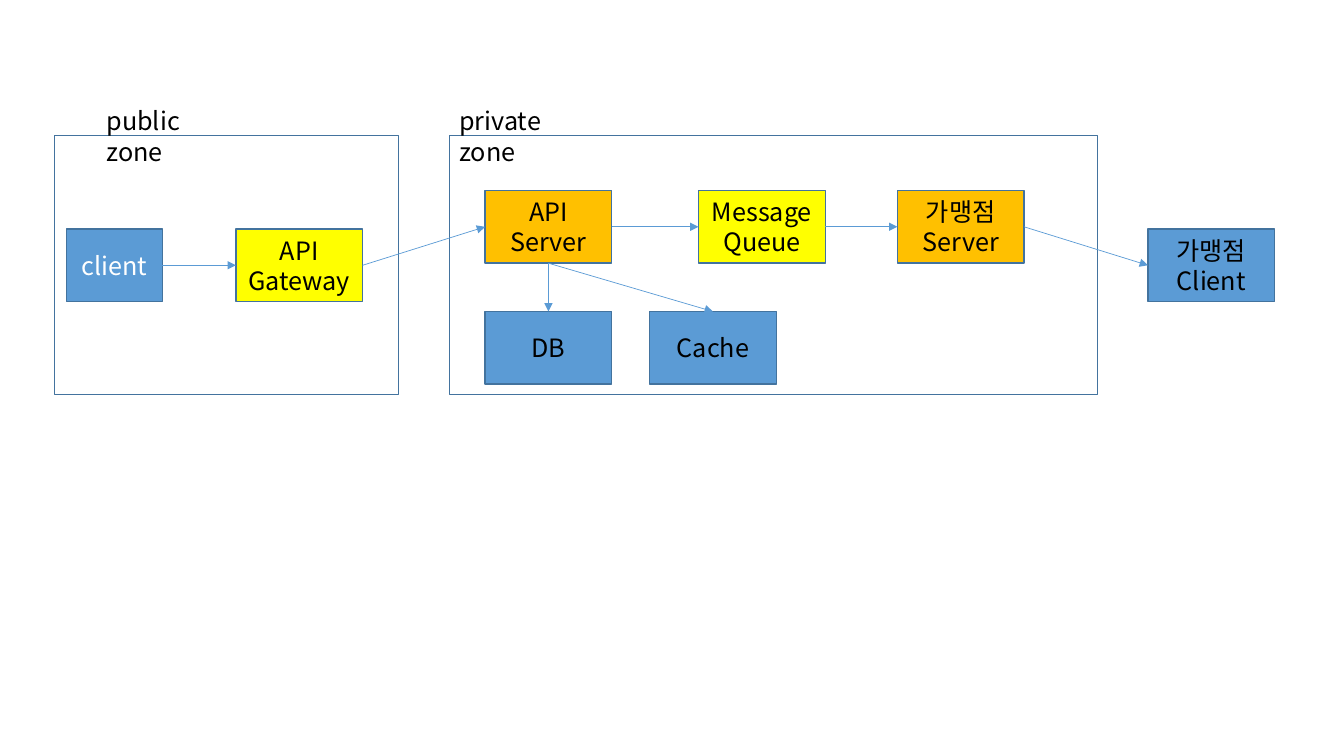
from lxml.etree import SubElement
from pptx import Presentation
from pptx.dml.color import RGBColor
from pptx.enum.shapes import MSO_CONNECTOR as Connector, MSO_SHAPE as Preset
from pptx.enum.text import MSO_ANCHOR as Anchor, PP_ALIGN as Align
from pptx.oxml.ns import qn
from pptx.util import Pt

BLUE, YELLOW, ORANGE = "5B9BD5", "FFFF00", "FFC000"
BLACK, WHITE, BORDER = "000000", "FFFFFF", "43739E"
TOP, LEFT, BOTTOM, RIGHT = range(4)


def color(hex_code):
    return RGBColor.from_string(hex_code)


def write(frame, text, font="Noto Sans CJK KR", size=18, ink=BLACK,
          align=Align.LEFT, anchor=Anchor.TOP):
    frame.word_wrap = True
    frame.vertical_anchor = anchor
    for number, line in enumerate(text.split("\n")):
        paragraph = frame.add_paragraph() if number else frame.paragraphs[0]
        paragraph.alignment = align
        run = paragraph.add_run()
        run.text = line
        run.font.name = font
        run.font.size = Pt(size)
        run.font.color.rgb = color(ink)
        SubElement(run.font._element, qn("a:ea"), typeface=font)


class Diagram:
    def __init__(self, slide, node_width=90.5, node_height=52):
        self.shapes = slide.shapes
        self.node_width = node_width
        self.node_height = node_height

    def rectangle(self, x, y, width, height, fill=None):
        shape = self.shapes.add_shape(
            Preset.RECTANGLE, Pt(x), Pt(y), Pt(width), Pt(height))
        shape.shadow.inherit = False
        if fill:
            shape.fill.solid()
            shape.fill.fore_color.rgb = color(fill)
        else:
            shape.fill.background()
        shape.line.color.rgb = color(BORDER)
        shape.line.width = Pt(1)
        return shape

    def label(self, text, x, y, width, height=29):
        box = self.shapes.add_textbox(Pt(x), Pt(y), Pt(width), Pt(height))
        write(box.text_frame, text)

    def node(self, text, x, y, fill, width=None, ink=BLACK):
        shape = self.rectangle(
            x, y, width or self.node_width, self.node_height, fill)
        write(shape.text_frame, text, ink=ink,
              align=Align.CENTER, anchor=Anchor.MIDDLE)
        return shape

    def arrow(self, source, target, leave=RIGHT, enter=LEFT):
        link = self.shapes.add_connector(Connector.STRAIGHT, 0, 0, 0, 0)
        link.begin_connect(source, leave)
        link.end_connect(target, enter)
        link.line.color.rgb = color(BLUE)
        link.line.width = Pt(0.5)
        SubElement(link.line._get_or_add_ln(), qn("a:tailEnd"), type="triangle")
        SubElement(link._element.spPr, qn("a:effectLst"))


deck = Presentation()
deck.slide_width, deck.slide_height = Pt(960), Pt(540)
diagram = Diagram(deck.slides.add_slide(deck.slide_layouts[6]))

ZONE_TOP, ZONE_HEIGHT, LABEL_TOP = 97, 185, 72
UPPER, MIDDLE, LOWER = 136, 163.5, 222.5
API_X = 346.5

for zone_x, zone_width in ((39, 245.5), (321, 463)):
    diagram.rectangle(zone_x, ZONE_TOP, zone_width, ZONE_HEIGHT)
diagram.label("public zone", 69, LABEL_TOP, 110)
diagram.label("private zone", 321, LABEL_TOP, 115.5)

client = diagram.node("client", 47.5, MIDDLE, BLUE, width=68.5, ink=WHITE)
gateway = diagram.node("API\nGateway", 168.5, MIDDLE, YELLOW)
api_server = diagram.node("API\nServer", API_X, UPPER, ORANGE)
database = diagram.node("DB", API_X, LOWER, BLUE)
cache = diagram.node("Cache", 464, LOWER, BLUE)
queue = diagram.node("Message\nQueue", 499, UPPER, YELLOW)
store_server = diagram.node("가맹점\nServer", 641, UPPER, ORANGE)
store_client = diagram.node("가맹점\nClient", 820, MIDDLE, BLUE)

request_flow = (client, gateway, api_server, queue, store_server, store_client)
for sender, receiver in zip(request_flow, request_flow[1:]):
    diagram.arrow(sender, receiver)
for storage in (database, cache):
    diagram.arrow(api_server, storage, leave=BOTTOM, enter=TOP)

deck.save("out.pptx")
